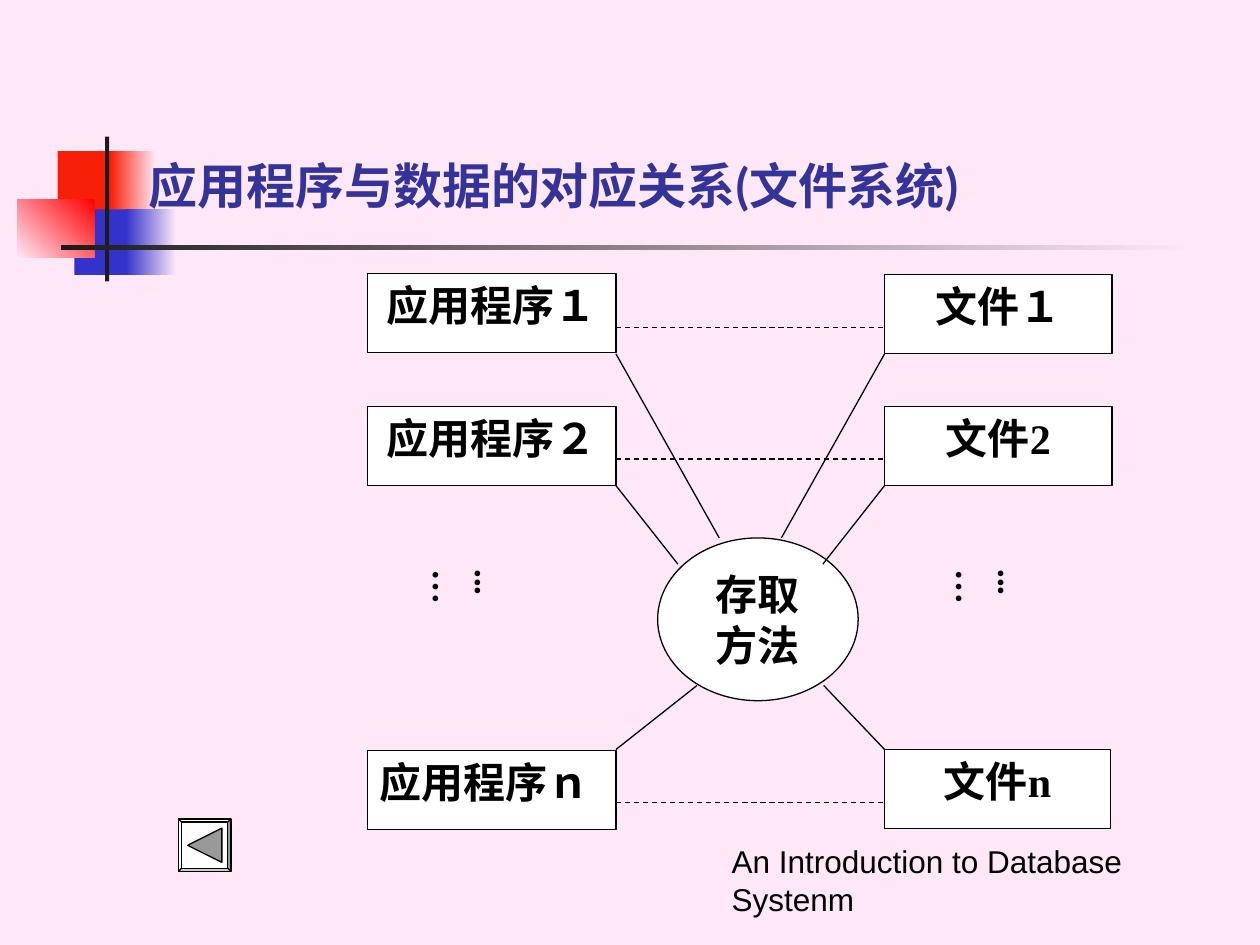
from pptx import Presentation
from pptx import util as u
from pptx.dml.color import RGBColor
from pptx.enum import dml, shapes, text
from pptx.oxml.ns import qn
from lxml import etree

Pt = u.Pt
Kind = shapes.MSO_SHAPE
Align = text.PP_ALIGN
Anchor = text.MSO_ANCHOR
PINK, WHITE, BLACK, DARK = "FEE8F7", "FFFFFF", "000000", "1C1C1C"
RED, BLUE = "F81F08", "3333CC"


def color(code):
    return RGBColor.from_string(code)


class Page:
    font = "Times New Roman"
    size = 24
    thin = 0.75

    def __init__(self, deck):
        self.slide = deck.slides.add_slide(deck.slide_layouts[6])
        self.items = self.slide.shapes
        back = self.slide.background.fill
        back.solid()
        back.fore_color.rgb = color(PINK)

    def words(self, item, words, size=None, font=None, ink=BLACK, bold=True,
              align=Align.LEFT, anchor=Anchor.TOP):
        frame = item.text_frame
        frame.word_wrap = True
        frame.vertical_anchor = anchor
        para = frame.paragraphs[0]
        para.alignment = align
        run = para.add_run()
        run.text = words
        run.font.size = Pt(size or self.size)
        run.font.name = font or self.font
        run.font.bold = bold
        run.font.color.rgb = color(ink)
        return frame

    def shape(self, kind, place, fill, edge=None):
        item = self.items.add_shape(kind, *map(Pt, place))
        item.shadow.inherit = False
        item.fill.solid()
        item.fill.fore_color.rgb = color(fill)
        if edge:
            item.line.color.rgb = color(edge)
            item.line.width = Pt(self.thin)
        else:
            item.line.fill.background()
        return item

    def fade(self, place, start, end, angle=180):
        item = self.shape(Kind.RECTANGLE, place, start)
        item.fill.gradient()
        item.fill.gradient_angle = angle
        for stop, code in zip(item.fill.gradient_stops, (start, end)):
            stop.color.rgb = color(code)

    def node(self, kind, place, words, align=Align.CENTER, anchor=Anchor.TOP):
        item = self.shape(kind, place, WHITE, BLACK)
        self.words(item, words, align=align, anchor=anchor)

    def line(self, start, end, dash=False):
        item = self.items.add_connector(
            shapes.MSO_CONNECTOR.STRAIGHT, *map(Pt, start + end))
        item.line.color.rgb = color(BLACK)
        item.line.width = Pt(self.thin)
        if dash:
            item.line.dash_style = dml.MSO_LINE.DASH
        etree.SubElement(item._element.spPr, qn("a:effectLst"))

    def label(self, place, words, **style):
        return self.words(self.items.add_textbox(*map(Pt, place)), words, **style)

    def dots(self, place):
        frame = self.label(place, "...…", size=20)
        frame.margin_left = frame.margin_right = Pt(3.6)
        frame.margin_top = frame.margin_bottom = Pt(7.2)
        frame.auto_size = text.MSO_AUTO_SIZE.SHAPE_TO_FIT_TEXT
        frame._txBody.bodyPr.set("vert", "eaVert")


def main():
    deck = Presentation()
    deck.slide_width, deck.slide_height = Pt(720), Pt(540)
    page = Page(deck)

    page.shape(Kind.RECTANGLE, (33, 86.4, 34.6, 37.4), RED)
    page.fade((63, 86.4, 26, 37.4), PINK, RED)
    page.shape(Kind.RECTANGLE, (42.5, 119.7, 33, 37.4), BLUE)
    page.fade((72, 119.7, 28.8, 37.4), PINK, BLUE)
    page.fade((10, 113.8, 44, 33.2), "FF0000", PINK, 225)
    page.shape(Kind.RECTANGLE, (60, 78, 2.4, 82.8), DARK)
    page.fade((34.6, 140.2, 648, 2.4), PINK, DARK)
    page.label((77.8, 36, 624.2, 90), "应用程序与数据的对应关系(文件系统)",
               size=28, font="Lato", ink="333399", anchor=Anchor.BOTTOM)

    left, right, wide, tall = 210, 505.5, 142, 45.2
    edge = left + wide
    rows = [
        ("１", "１", 156.2, 157, 130, 187.2, Align.CENTER),
        ("２", "2", 232.4, 232.4, 130, 262.3, Align.CENTER),
        ("ｎ", "n", 429, 428.4, 129, 458.6, Align.JUSTIFY),
    ]
    for app, doc, top, level, span, mid, align in rows:
        page.node(Kind.RECTANGLE, (left, top, wide, tall), "应用程序" + app, align)
        page.node(Kind.RECTANGLE, (right, level, span, tall), "文件" + doc)
        page.line((edge, mid), (right, mid), dash=True)

    page.node(Kind.OVAL, (375.8, 307.4, 114.6, 93), "存取方法",
              anchor=Anchor.MIDDLE)
    spokes = [
        (202.2, 411, 446.5, 307.4),
        (277.5, 387.4, 470.2, 322.4),
        (428.3, 398.3, 470.7, 391.7),
    ]
    for start, near, far, end in spokes:
        page.line((edge, start), (near, end))
        page.line((right, start), (far, end))

    for x in (257, 556):
        page.dots((x, 318.2, 38.2, 48.2))

    back = page.shape(Kind.BEVEL, (102, 468, 30, 30), WHITE, BLACK)
    back.adjustments[0] = 0.06
    arrow = page.shape(Kind.ISOSCELES_TRIANGLE, (107.2, 473.2, 19.6, 19.6),
                       "999999", BLACK)
    arrow.rotation = 270
    page.label((411, 491.8, 291, 36), "An Introduction to Database Systenm",
               size=18, font="Arial", bold=False, anchor=Anchor.BOTTOM)
    deck.save("out.pptx")


if __name__ == "__main__":
    main()
